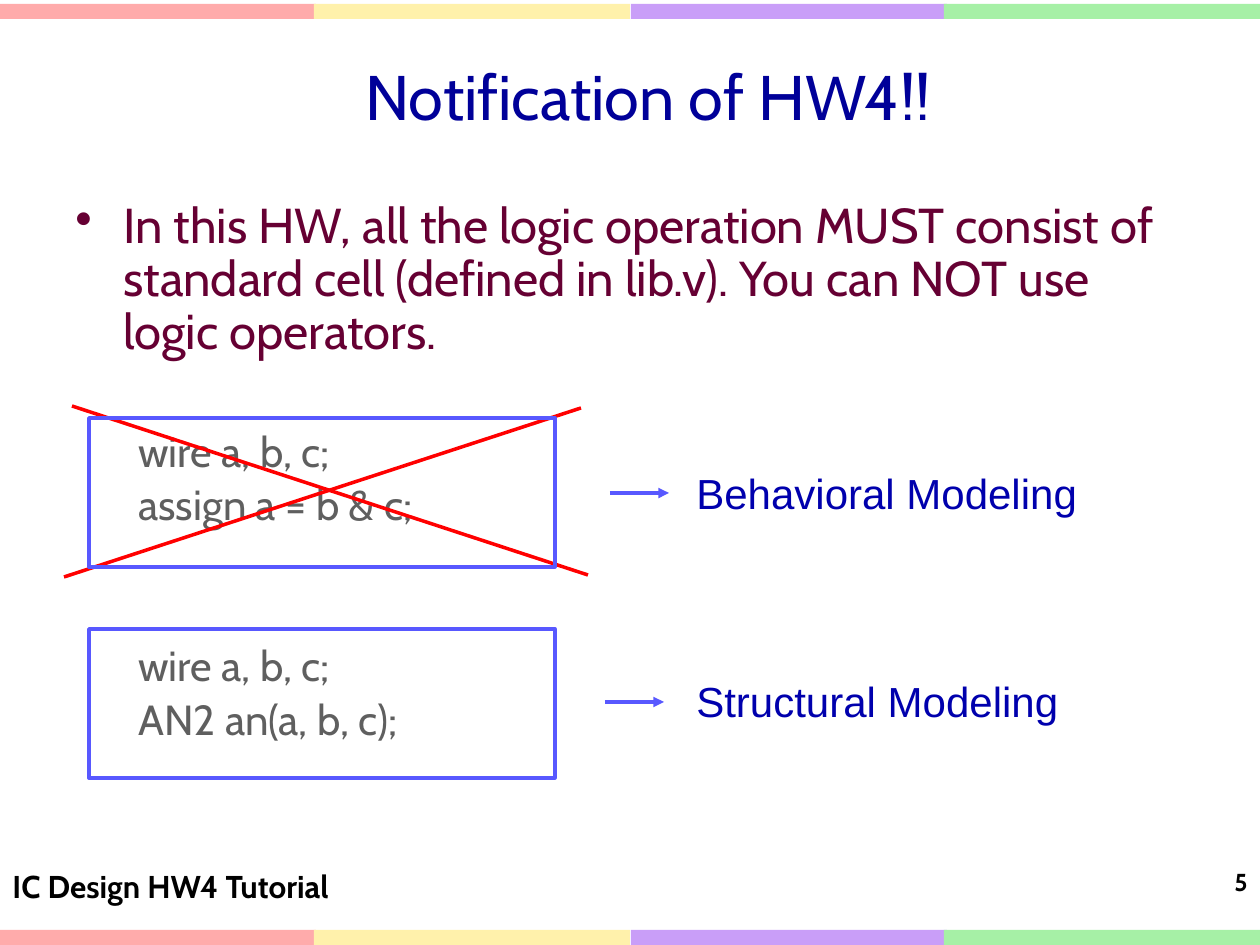
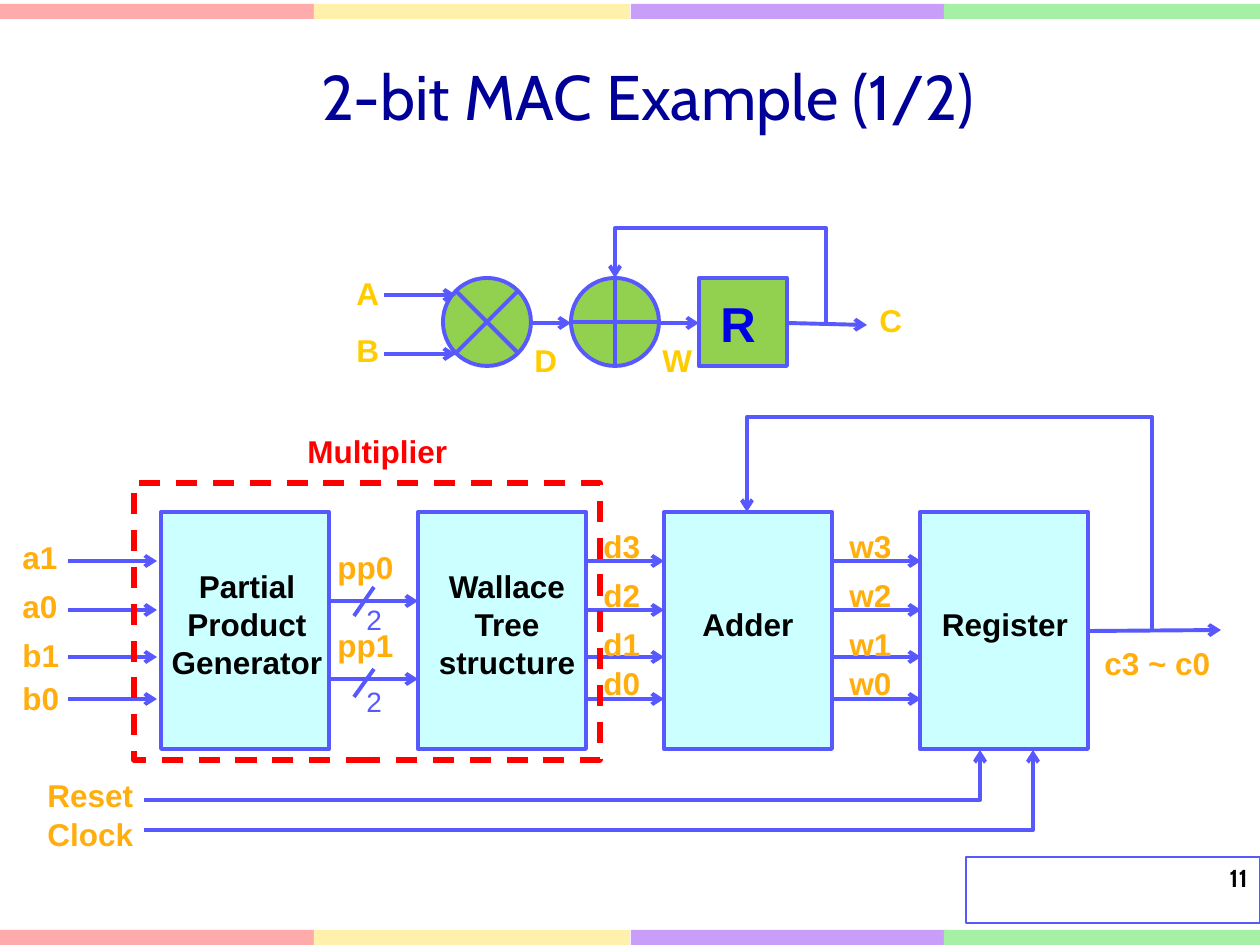
from lxml.etree import SubElement
from pptx import Presentation
from pptx.dml.color import RGBColor
from pptx.enum.dml import MSO_LINE
from pptx.enum.shapes import MSO_CONNECTOR, MSO_SHAPE
from pptx.enum.text import MSO_ANCHOR, PP_ALIGN
from pptx.oxml.ns import qn
from pptx.util import Inches, Pt

PIXEL = Inches(1) / 126

NAVY = RGBColor(0x00, 0x00, 0x99)
LABEL_BLUE = RGBColor(0x00, 0x00, 0xAD)
REGISTER_BLUE = RGBColor(0x00, 0x00, 0xE7)
LINE_BLUE = RGBColor(0x58, 0x58, 0xFF)
MAROON = RGBColor(0x66, 0x00, 0x33)
GREY = RGBColor(0x5F, 0x5F, 0x5F)
BLACK = RGBColor(0x00, 0x00, 0x00)
RED = RGBColor(0xFF, 0x00, 0x00)
GREEN = RGBColor(0x92, 0xD0, 0x50)
PALE_CYAN = RGBColor(0xCC, 0xFF, 0xFF)
YELLOW = RGBColor(0xFF, 0xCC, 0x00)
ORANGE = RGBColor(0xFF, 0xAE, 0x0D)
BANDS = {
    0: RGBColor(0xFF, 0xAB, 0xAB),
    314: RGBColor(0xFF, 0xF1, 0xAB),
    631: RGBColor(0xC9, 0x9E, 0xF8),
    944: RGBColor(0xA6, 0xF0, 0xA6),
}


def emu(pixels):
    """Turn pixels into EMU."""
    return round(pixels * PIXEL)


def write(paragraph, text, font="Arial", size=18, color=BLACK, bold=False,
          align=PP_ALIGN.LEFT, before=None, spacing=None, margin=0, bullet=None):
    """Put formatted text into a paragraph."""
    run = paragraph.add_run()
    run.text = text
    run.font.name = font
    run.font.size = Pt(size)
    run.font.bold = bold
    run.font.color.rgb = color
    paragraph.alignment = align
    if before is not None:
        paragraph.space_before = Pt(before)
    if spacing is not None:
        paragraph.line_spacing = spacing
    if margin:
        properties = paragraph._p.get_or_add_pPr()
        properties.set("marL", str(emu(margin)))
        properties.set("indent", str(-emu(margin) if bullet else 0))
        if bullet:
            SubElement(properties, qn("a:buChar")).set("char", bullet)


class Deck:
    """The style of the presentation and the slide being drawn."""

    def __init__(self):
        """Start a presentation of 10 by 7.5 inches."""
        self.presentation = Presentation()
        self.presentation.slide_width = Inches(10)
        self.presentation.slide_height = Inches(7.5)
        self.layout = self.presentation.slide_layouts[5]
        self.slide = None

    def add_slide(self, title):
        """Add a slide with its title; the first one also sets up the bands."""
        self.slide = self.presentation.slides.add_slide(self.layout)
        if len(self.presentation.slides) == 1:
            self.add_bands()
        shape = self.slide.shapes.title
        shape.left, shape.top, shape.width, shape.height = map(emu, (163, 16, 970, 158))
        shape.text_frame.vertical_anchor = MSO_ANCHOR.MIDDLE
        write(shape.text_frame.paragraphs[0], title, font="Cabin", size=36,
              color=NAVY, align=PP_ALIGN.CENTER)

    def add_bands(self):
        """Draw the coloured bands and move them to the shared layout."""
        for top in (4, 930):
            for left, color in BANDS.items():
                band = self.shape((left, top, 316, 15), fill=color, line=None)
                self.layout.shapes.element.append(band._element)

    def shape(self, box, kind=MSO_SHAPE.RECTANGLE, fill=None, line=LINE_BLUE,
              width=2.25, dash=None):
        """Add a preset shape at (left, top, width, height)."""
        shape = self.slide.shapes.add_shape(kind, *map(emu, box))
        shape.shadow.inherit = False
        if fill is None:
            shape.fill.background()
        else:
            shape.fill.solid()
            shape.fill.fore_color.rgb = fill
        if line is None:
            shape.line.fill.background()
        else:
            shape.line.color.rgb = line
            shape.line.width = Pt(width)
            if dash:
                shape.line.dash_style = dash
        return shape

    def text(self, box, *lines, wrap=True, **style):
        """Add a text box with one paragraph for each line."""
        frame = self.slide.shapes.add_textbox(*map(emu, box)).text_frame
        frame.word_wrap = wrap
        for number, line in enumerate(lines):
            paragraph = frame.add_paragraph() if number else frame.paragraphs[0]
            write(paragraph, line, **style)
        return frame

    def label(self, left, top, text, color=ORANGE, width=70):
        """Add a bold one-line signal name."""
        self.text((left, top, width, 50), text, color=color, bold=True)

    def line(self, start, end, color=LINE_BLUE, width=2.25, head=None,
             kind=MSO_CONNECTOR.STRAIGHT):
        """Add a connector, with an arrowhead at its end if one is named."""
        connector = self.slide.shapes.add_connector(kind, *map(emu, start + end))
        connector.line.color.rgb = color
        connector.line.width = Pt(width)
        properties = connector._element.spPr
        if head:
            SubElement(properties.find(qn("a:ln")), qn("a:tailEnd")).set("type", head)
        SubElement(properties, qn("a:effectLst"))
        return connector

    def arrow(self, start, end):
        """Add a straight signal arrow."""
        return self.line(start, end, head="arrow")

    def elbow(self, start, end, preset, *adjustments):
        """Add a bent signal arrow with its bends given as shares of its size."""
        connector = self.line(start, end, head="arrow", kind=MSO_CONNECTOR.ELBOW)
        geometry = connector._element.spPr.find(qn("a:prstGeom"))
        geometry.set("prst", preset)
        guides = geometry.find(qn("a:avLst"))
        if guides is None:
            guides = SubElement(geometry, qn("a:avLst"))
        for number, share in enumerate(adjustments, 1):
            guide = SubElement(guides, qn("a:gd"))
            guide.set("name", f"adj{number}")
            guide.set("fmla", f"val {round(share * 100000)}")

    def feedback(self, start, end, top):
        """Lead a signal up to a height, back to the left and down."""
        rise = (start[1] - top) / (start[1] - end[1])
        self.elbow(start, end, "bentConnector4", 0, rise)

    def number(self, text, top, framed=False):
        """Write the slide number in the lower right corner."""
        box = (966, top, 294, 66)
        if framed:
            self.shape(box, width=0.75)
        self.text(box, text, font="Cabin", size=14, bold=True, align=PP_ALIGN.RIGHT)


def add_notification(deck):
    """Build the slide that contrasts the two ways of modeling."""
    deck.add_slide("Notification of HW4!!")
    frame = deck.text(
        (63, 195, 1134, 180),
        "In this HW, all the logic operation MUST consist of standard cell "
        "(defined in lib.v). You can NOT use logic operators.",
        font="Cabin", size=28, color=MAROON, before=5.6, spacing=0.9,
        margin=48, bullet="•")
    code = (("wire a, b, c;", 40.5), ("assign a = b & c;", 4.8),
            ("wire a, b, c;", 66), ("AN2 an(a, b, c);", 4.8))
    for text, before in code:
        write(frame.add_paragraph(), text, font="Cabin", size=24, color=GREY,
              before=before, spacing=0.9, margin=63)

    deck.number("5", 861)
    deck.text((0, 861, 399, 66), "IC Design HW4 Tutorial", font="Cabin", bold=True)
    deck.line((581, 408), (64, 577), color=RED, width=2)
    deck.line((588, 575), (72, 406), color=RED, width=2)
    models = (("Behavioral Modeling", 461, 610, 493, 418),
              ("Structural Modeling", 669, 605, 702, 629))
    for name, top, left, arrow_y, frame_top in models:
        deck.text((684, top, 430, 64), name, size=24, color=LABEL_BLUE)
        deck.line((left, arrow_y), (left + 59, arrow_y), width=2, head="triangle")
        deck.shape((89, frame_top, 466, 149), width=2)


def add_mac_symbol(deck):
    """Draw the small multiply, add and register chain."""
    kinds = (MSO_SHAPE.FLOWCHART_SUMMING_JUNCTION, MSO_SHAPE.FLOWCHART_OR,
             MSO_SHAPE.RECTANGLE)
    for column, kind in enumerate(kinds):
        deck.shape((443 + 128 * column, 278, 88, 88), kind, fill=GREEN)
    deck.shape((708, 287, 69, 72), fill=GREEN, line=None)
    deck.text((708, 287, 69, 72), "R", size=28, color=REGISTER_BLUE, bold=True)
    for y in (295, 354):
        deck.arrow((384, y), (456, y))
    for left, right in ((532, 571), (659, 699)):
        deck.arrow((left, 323), (right, 323))
    deck.arrow((788, 323), (867, 325))
    deck.feedback((826, 325), (615, 278), 228)
    labels = (("A", 344, 268), ("B", 344, 325), ("D", 522, 335),
              ("W", 650, 335), ("C", 867, 295))
    for text, left, top in labels:
        deck.label(left, top, text, color=YELLOW, width=49)


def add_mac_blocks(deck):
    """Draw the four blocks with the signals between them."""
    blocks = (
        (161, (158, 561, 178, 127), ("Partial Product Generator",)),
        (418, (423, 561, 168, 127), ("Wallace", "Tree", "structure")),
        (664, (659, 599, 178, 50), ("Adder",)),
        (920, (916, 599, 178, 50), ("Register",)),
    )
    for left, box, lines in blocks:
        deck.shape((left, 512, 168, 237), fill=PALE_CYAN)
        deck.text(box, *lines, bold=True, align=PP_ALIGN.CENTER)

    rows = (561, 610, 657, 699)
    output_tops = (521, 570, 619, 658)
    buses = (
        (68, 157, 10, ("a1", "a0", "b1", "b0"), (532, 581, 630, 673)),
        (586, 664, 591, ("d3", "d2", "d1", "d0"), output_tops),
        (833, 921, 837, ("w3", "w2", "w1", "w0"), output_tops),
    )
    for left, right, label_left, names, tops in buses:
        for y, name, top in zip(rows, names, tops):
            deck.arrow((left, y), (right, y))
            deck.label(label_left, top, name)

    partial_products = (("pp0", 601, 616, 587, 596), ("pp1", 679, 697, 669, 678))
    for name, y, slash_bottom, slash_top, width_top in partial_products:
        deck.arrow((329, y), (418, y))
        deck.label(325, y - 59, name, width=98)
        deck.line((354, slash_bottom), (374, slash_top))
        deck.text((354, width_top, 59, 47), "2", size=16, color=LINE_BLUE)

    deck.arrow((1090, 631), (1221, 630))
    deck.feedback((1152, 630), (747, 512), 417)
    deck.label(1092, 638, "c3 ~ c0", width=147)
    for name, top, y, right in (("Reset", 770, 800, 980), ("Clock", 809, 830, 1033)):
        deck.label(35, top, name, width=129)
        deck.elbow((144, y), (right, 750), "bentConnector3", 1)

    deck.shape((134, 483, 466, 277), line=RED, width=3, dash=MSO_LINE.DASH)
    deck.text((295, 426, 165, 50), "Multiplier", wrap=False, color=RED, bold=True)


def add_mac_example(deck):
    """Build the slide with the multiplier and accumulator."""
    deck.add_slide("2-bit MAC Example (1/2)")
    deck.number("11", 857, framed=True)
    add_mac_symbol(deck)
    add_mac_blocks(deck)


def main():
    """Build both slides and save them."""
    deck = Deck()
    add_notification(deck)
    add_mac_example(deck)
    deck.presentation.save("out.pptx")


main()
